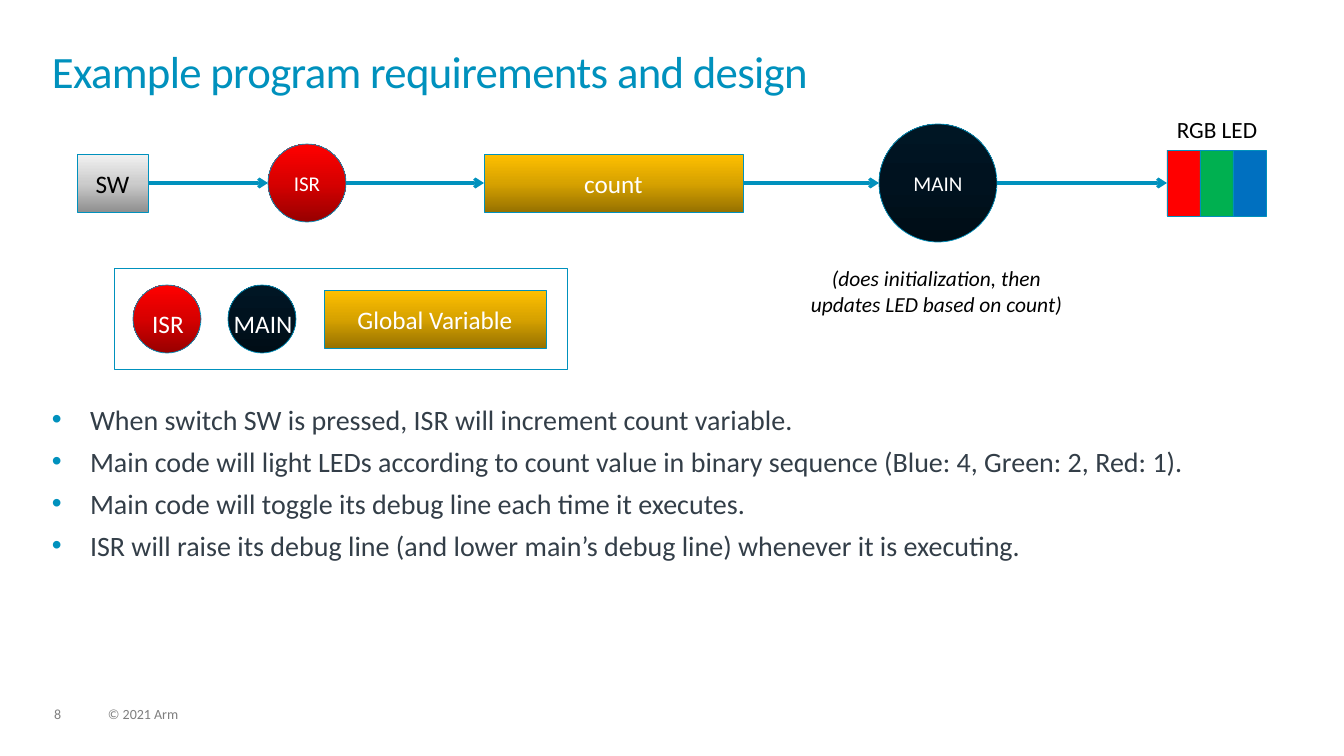
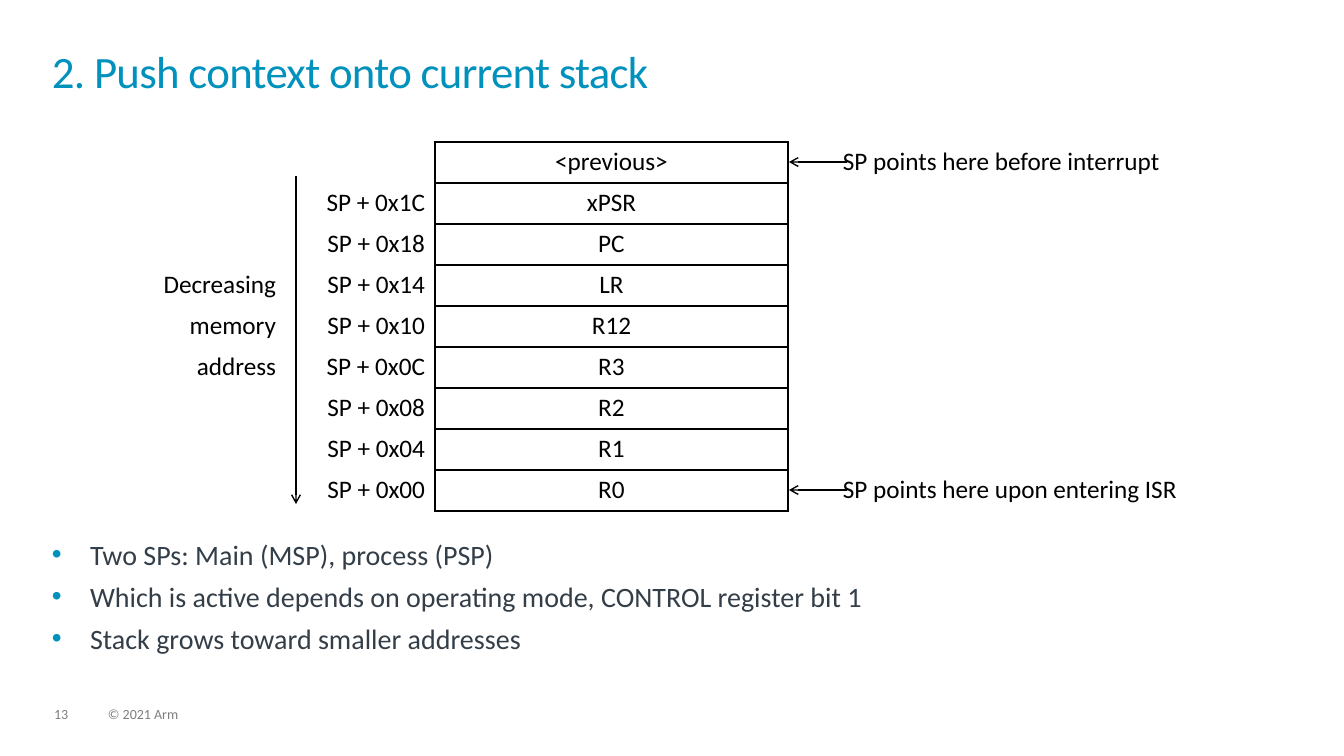
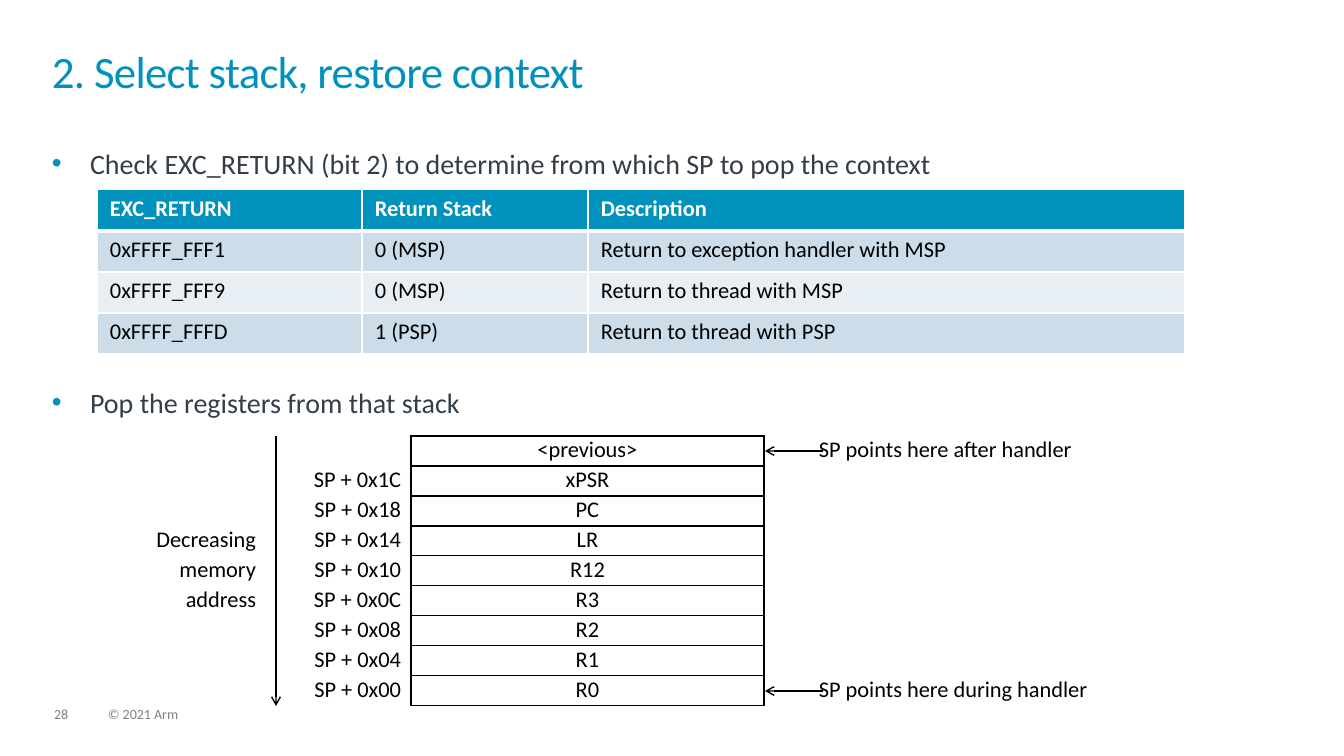
from copy import deepcopy

from lxml.etree import SubElement
from pptx import Presentation
from pptx.dml.color import RGBColor
from pptx.enum.shapes import MSO_CONNECTOR as Link, MSO_SHAPE as Preset
from pptx.enum.text import MSO_ANCHOR as Anchor, MSO_AUTO_SIZE as AutoSize, PP_ALIGN as Align
from pptx.oxml.ns import qn
from pptx.util import Emu, Pt

EMU_PER_INCH = 914400
PX_PER_INCH = 100.8
FONT = "Calibri"
PLAIN_TABLE = "{2D5ABB26-0587-4C30-8999-92F81FD0307C}"

TEAL = RGBColor(0x00, 0x91, 0xBD)
SLATE = RGBColor(0x33, 0x3E, 0x48)
GREY = RGBColor(0x7F, 0x7F, 0x7F)
BLACK = RGBColor(0x00, 0x00, 0x00)
WHITE = RGBColor(0xFF, 0xFF, 0xFF)
LED_COLOURS = (RGBColor(0xFF, 0x00, 0x00), RGBColor(0x00, 0xB0, 0x50), RGBColor(0x00, 0x70, 0xC0))
ROW_FILLS = (RGBColor(0xE7, 0xEE, 0xF4), RGBColor(0xCC, 0xDC, 0xE8))
SILVER = (RGBColor(0x90, 0x90, 0x90), RGBColor(0xCC, 0xCC, 0xCC), RGBColor(0xF2, 0xF2, 0xF2))
RED = (RGBColor(0x97, 0x00, 0x00), RGBColor(0xD7, 0x00, 0x00), RGBColor(0xFF, 0x00, 0x00))
GOLD = (RGBColor(0x97, 0x72, 0x00), RGBColor(0xD7, 0xA2, 0x00), RGBColor(0xFF, 0xC0, 0x00))
NAVY = (RGBColor(0x00, 0x0D, 0x16), RGBColor(0x00, 0x12, 0x1F), RGBColor(0x00, 0x16, 0x24))

REGISTERS = ("<previous>", "xPSR", "PC", "LR", "R12", "R3", "R2", "R1", "R0")
OFFSETS = ("", "SP + 0x1C", "SP + 0x18", "SP + 0x14", "SP + 0x10",
           "SP + 0x0C", "SP + 0x08", "SP + 0x04", "SP + 0x00")
DIRECTION = ("", "", "", "Decreasing", "memory", "address", "", "", "")
RETURN_ROWS = (
    ("EXC_RETURN", "Return Stack", "Description"),
    ("0xFFFF_FFF1", "0 (MSP)", "Return to exception handler with MSP"),
    ("0xFFFF_FFF9", "0 (MSP)", "Return to thread with MSP"),
    ("0xFFFF_FFFD", "1 (PSP)", "Return to thread with PSP"),
)


def px(length):
    """Turn whole pixels into EMU."""
    return Emu(round(length * EMU_PER_INCH / PX_PER_INCH))


def set_format(target, **values):
    """Set every given attribute on the target."""
    for name, value in values.items():
        setattr(target, name, value)


def write(para, text, size, colour, **font):
    """Put one formatted run in a paragraph, or size the paragraph if empty."""
    if not text:
        SubElement(para._p, qn("a:endParaRPr"), sz=str(round(size * 100)))
        return None
    span = para.add_run()
    span.text = text
    set_format(span.font, name=FONT, size=Pt(size), **font)
    span.font.color.rgb = colour
    return span


def clear_frame(shape):
    """Give a text shape no insets, top anchoring and wrapped text."""
    frame = shape.text_frame
    set_format(frame, margin_left=0, margin_top=0, margin_right=0, margin_bottom=0,
               word_wrap=True, auto_size=AutoSize.NONE, vertical_anchor=Anchor.TOP)
    return frame


def place(shape, box):
    """Move a shape to a box in pixels."""
    left, top, width, height = map(px, box)
    set_format(shape, left=left, top=top, width=width, height=height)


def add_label(page, box, text, size, colour, align=Align.CENTER, **font):
    """Add a text box with one paragraph."""
    para = clear_frame(page.shapes.add_textbox(*map(px, box))).paragraphs[0]
    para.alignment = align
    write(para, text, size, colour, **font)
    return para


def add_block(page, preset, box, fill=None, text="", size=18, colour=WHITE):
    """Add a thinly outlined shape with a gradient, plain or empty fill."""
    block = page.shapes.add_shape(preset, *map(px, box))
    block.shadow.inherit = False
    block.line.color.rgb = TEAL
    block.line.width = Pt(0.5)
    if fill is None:
        block.fill.background()
    elif isinstance(fill, RGBColor):
        block.fill.solid()
        block.fill.fore_color.rgb = fill
    else:
        block.fill.gradient()
        block.fill.gradient_angle = 90
        stop_list = block._element.spPr.find(qn("a:gradFill")).find(qn("a:gsLst"))
        stop_list.append(deepcopy(stop_list[0]))
        for index, stop in enumerate(block.fill.gradient_stops):
            stop.position = index / 2
            stop.color.rgb = fill[index]
    if text:
        block.text_frame.vertical_anchor = Anchor.MIDDLE
        para = block.text_frame.paragraphs[0]
        para.alignment = Align.CENTER
        write(para, text, size, colour)
    return block


def add_arrow(page, start, end, colour=BLACK, width=1):
    """Add a straight line with an open arrowhead at its end."""
    arrow = page.shapes.add_connector(Link.STRAIGHT, *map(px, (*start, *end)))
    arrow.line.color.rgb = colour
    arrow.line.width = Pt(width)
    SubElement(arrow.line._get_or_add_ln(), qn("a:tailEnd"), type="arrow")
    SubElement(arrow._element.spPr, qn("a:effectLst"))
    return arrow


def add_grid(page, left, top, widths, row_height, row_count):
    """Add an unstyled table with even rows."""
    frame = page.shapes.add_table(row_count, len(widths), px(left), px(top),
                                  px(sum(widths)), px(row_height * row_count))
    table = frame.table
    set_format(table, first_row=False, horz_banding=False)
    table._tbl.tblPr.find(qn("a:tableStyleId")).text = PLAIN_TABLE
    for column, width in zip(table.columns, widths):
        column.width = px(width)
    for row in table.rows:
        row.height = px(row_height)
    return table


def draw_borders(cell, colour, **widths):
    """Draw cell borders, given as side letters L, R, T, B with point widths."""
    for side, width in widths.items():
        edge = SubElement(cell._tc.get_or_add_tcPr(), qn(f"a:ln{side}"), w=str(Pt(width)))
        solid = SubElement(edge, qn("a:solidFill"))
        SubElement(solid, qn("a:srgbClr"), val=str(colour))


def fill_cell(cell, text, size, colour, margins, align=Align.LEFT, fill=None, **font):
    """Set a cell's margins, fill and text."""
    left, top, right, bottom = map(px, margins)
    set_format(cell, margin_left=left, margin_top=top, margin_right=right, margin_bottom=bottom)
    if fill is None:
        cell.fill.background()
    else:
        cell.fill.solid()
        cell.fill.fore_color.rgb = fill
    para = cell.text_frame.paragraphs[0]
    para.alignment = align
    write(para, text, size, colour, **font)


def add_page(deck, number, title, box, bullets, gap=6):
    """Add a page with title, bullet list and footer."""
    page = deck.slides.add_slide(deck.slide_layouts[1])
    heading, body = page.placeholders
    place(heading, (52, 52, 1238, 73))
    para = clear_frame(heading).paragraphs[0]
    set_format(para, alignment=Align.LEFT, line_spacing=0.85)
    write(para, title, 32, TEAL)._r.get_or_add_rPr().set("spc", "-50")
    place(body, box)
    frame = clear_frame(body)
    for index, text in enumerate(bullets):
        para = frame.add_paragraph() if index else frame.paragraphs[0]
        props = para._p.get_or_add_pPr()
        props.set("marL", str(px(38)))
        props.set("indent", str(px(-38)))
        SubElement(SubElement(props, qn("a:buClr")), qn("a:srgbClr"), val=str(TEAL))
        SubElement(props, qn("a:buChar"), char="•")
        para.space_before = Pt(gap if index else 0)
        write(para, text, 20, SLATE)
    for left, width, text in ((54, 34, str(number)), (108, 511, "© 2021 Arm")):
        add_label(page, (left, 707, width, 15), text, 10, GREY, Align.LEFT).line_spacing = 0.9
    return page


def draw_flow(page, left, middle):
    """Draw the chain from switch to LED around a middle line."""
    def centred(offset, width, height):
        return left + offset, middle - height // 2, width, height

    switch = add_block(page, Preset.RECTANGLE, centred(0, 71, 58), SILVER, "SW", colour=BLACK)
    add_block(page, Preset.OVAL, centred(191, 78, 78), RED, "ISR", 15)
    count = add_block(page, Preset.RECTANGLE, centred(407, 259, 58), GOLD, "count")
    add_block(page, Preset.OVAL, centred(802, 118, 118), NAVY, "MAIN", 15)
    leds = [add_block(page, Preset.RECTANGLE, centred(1090 + 33 * index, 33, 66), colour)
            for index, colour in enumerate(LED_COLOURS)]
    add_label(page, (left + 1090, middle - 68, 100, 26), "RGB LED", 16.6, BLACK)
    add_label(page, (left + 721, middle + 82, 277, 55),
              "(does initialization, then updates LED based on count)", 15.3, BLACK, italic=True)
    hops = ((71, 191, switch, None), (269, 407, None, count),
            (666, 802, count, None), (920, 1090, None, leds[0]))
    for start, end, source, target in hops:
        arrow = add_arrow(page, (left + start, middle), (left + end, middle), TEAL, 2.25)
        if source:
            arrow.begin_connect(source, 3)
        if target:
            arrow.end_connect(target, 1)


def draw_legend(page, box):
    """Draw the framed key of shapes."""
    left, top, _, _ = box
    add_block(page, Preset.RECTANGLE, box)
    add_block(page, Preset.RECTANGLE, (left + 210, top + 22, 222, 58), GOLD, "Global Variable")
    for offset, fill, text in ((19, RED, "ISR"), (114, NAVY, "MAIN")):
        add_block(page, Preset.OVAL, (left + offset, top + 17, 68, 68), fill)
        add_label(page, (left + offset - 3, top + 40, 76, 32), text, 18, WHITE)


def draw_stack(page, left, top, offset_width, row_height, size, pad, axis, notes):
    """Draw the register stack with its address axis and pointer arrows."""
    widths = (202, offset_width, 353, 473)
    last = len(REGISTERS) - 1
    table = add_grid(page, left, top, widths, row_height, len(REGISTERS))
    remarks = {0: notes[0], last: notes[1]}
    for index, texts in enumerate(zip(DIRECTION, OFFSETS, REGISTERS)):
        direction, offset, register, remark = cells = table.rows[index].cells
        draw_borders(offset, BLACK, R=1)
        draw_borders(register, BLACK, L=1, R=1, T=1, B=1)
        draw_borders(remark, BLACK, L=1)
        styles = ((10, 20, Align.RIGHT), (10, 10, Align.RIGHT),
                  (10, 10, Align.CENTER), (55, 10, Align.LEFT))
        for cell, text, style in zip(cells, (*texts, remarks.get(index, "")), styles):
            before, after, align = style
            fill_cell(cell, text, size, BLACK, (before, pad, after, pad), align)
    edge = left + sum(widths[:3])
    for index in remarks:
        level = top + row_height * index + row_height // 2
        add_arrow(page, (edge + 59, level), (edge + 1, level))
    start, end = axis
    add_arrow(page, (left + 202, top + start), (left + 202, top + end))


def draw_returns(page, left, top):
    """Draw the banded table of return codes."""
    table = add_grid(page, left, top, (265, 226, 597), 41, len(RETURN_ROWS))
    for index, texts in enumerate(RETURN_ROWS):
        header = index == 0
        for cell, text in zip(table.rows[index].cells, texts):
            draw_borders(cell, WHITE, L=1, R=1, B=3 if header else 1)
            fill_cell(cell, text, 16, WHITE if header else BLACK, (13, 5, 13, 5),
                      fill=TEAL if header else ROW_FILLS[index % 2], bold=header)


def build_design(deck):
    """Build the program design page."""
    page = add_page(deck, 8, "Example program requirements and design", (52, 402, 1238, 272), (
        "When switch SW is pressed, ISR will increment count variable.",
        "Main code will light LEDs according to count value in binary sequence "
        "(Blue: 4, Green: 2, Red: 1).",
        "Main code will toggle its debug line each time it executes.",
        "ISR will raise its debug line (and lower main’s debug line) whenever it is executing.",
    ))
    draw_flow(page, 77, 183)
    draw_legend(page, (114, 268, 453, 101))


def build_push(deck):
    """Build the page on pushing context."""
    page = add_page(deck, 13, "2. Push context onto current stack", (52, 537, 1238, 137), (
        "Two SPs: Main (MSP), process (PSP)",
        "Which is active depends on operating mode, CONTROL register bit 1",
        "Stack grows toward smaller addresses",
    ))
    draw_stack(page, 94, 142, 139, 41, 18, 5, (34, 362),
               ("SP points here before interrupt", "SP points here upon entering ISR"))


def build_restore(deck):
    """Build the page on restoring context."""
    page = add_page(deck, 28, "2. Select stack, restore context", (52, 146, 1238, 528), (
        "Check EXC_RETURN (bit 2) to determine from which SP to pop the context",
        "Pop the registers from that stack",
    ), gap=147)
    draw_returns(page, 97, 190)
    draw_stack(page, 74, 436, 135, 30, 16, 0, (0, 270),
               ("SP points here after handler", "SP points here during handler"))


def main():
    """Build and save the deck."""
    deck = Presentation()
    set_format(deck, slide_width=px(1344), slide_height=px(756))
    for build in (build_design, build_push, build_restore):
        build(deck)
    deck.save("out.pptx")


if __name__ == "__main__":
    main()
